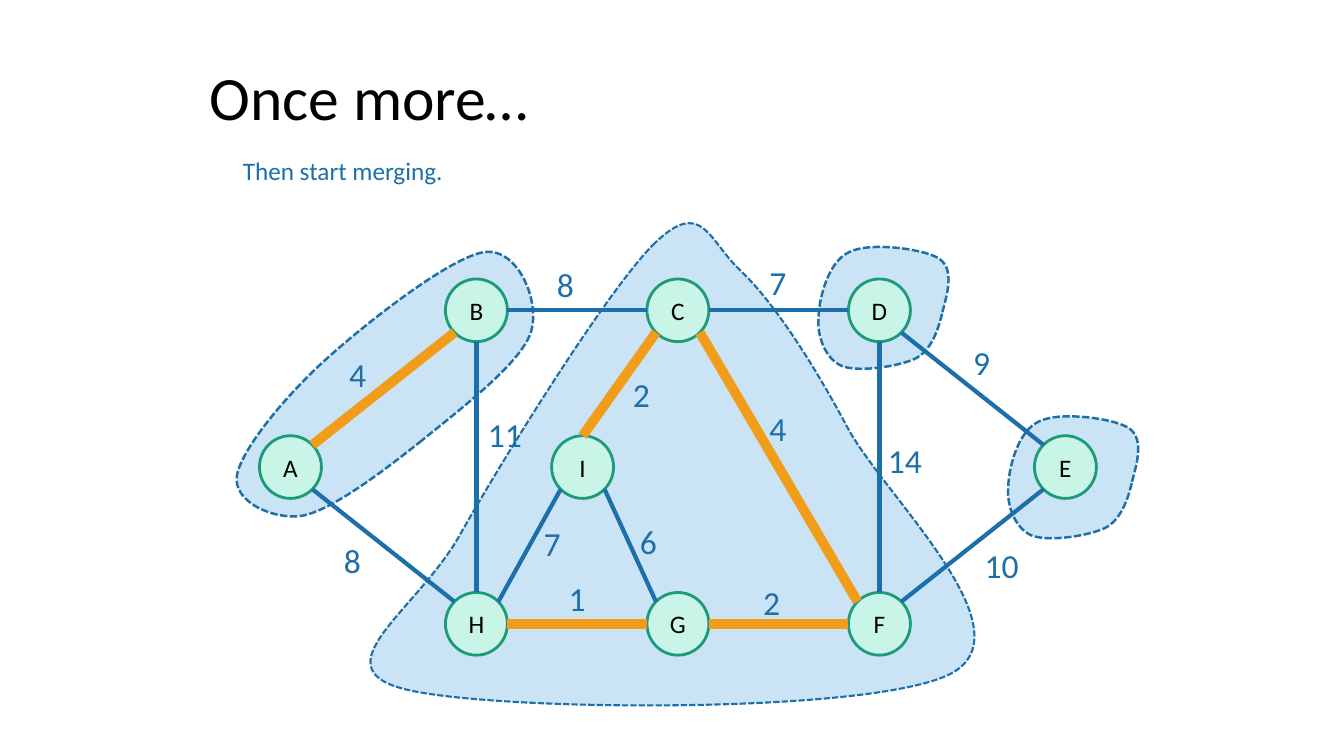
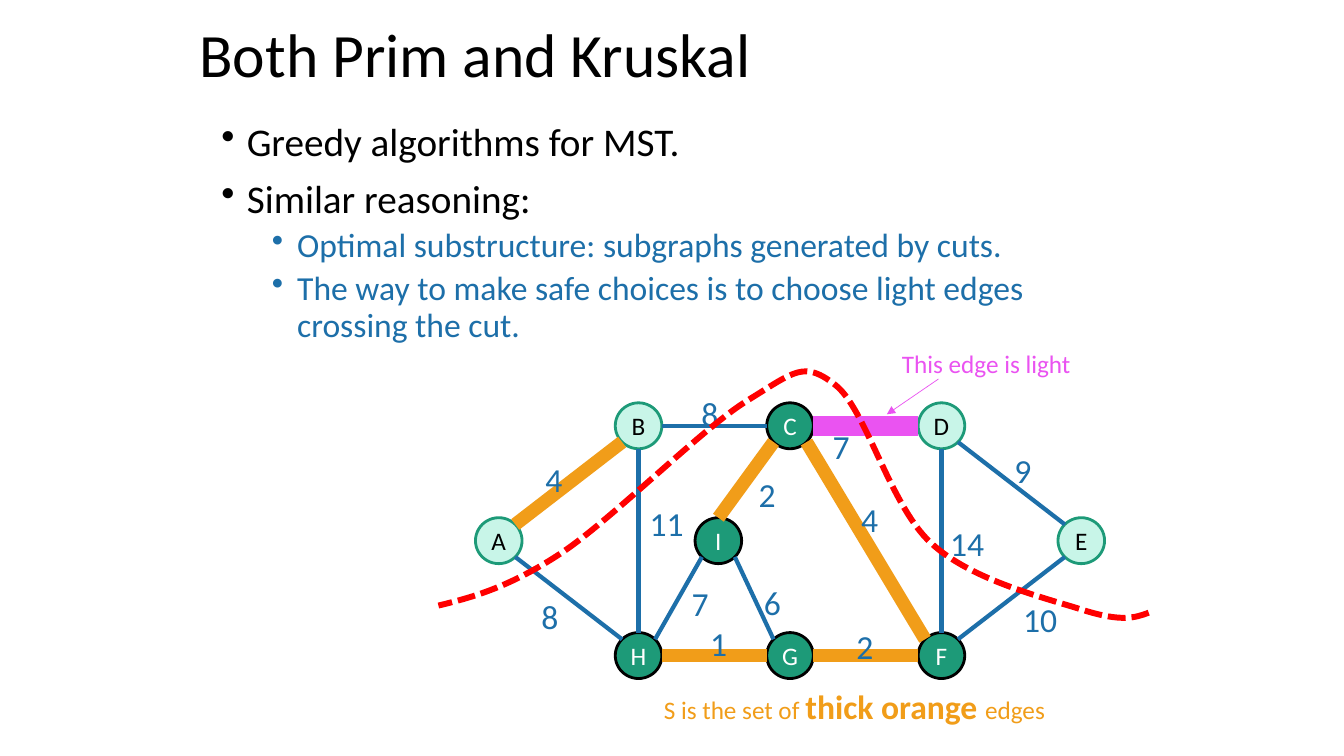
from math import hypot

from lxml import etree
from pptx import Presentation
from pptx.dml.color import RGBColor
from pptx.enum.dml import MSO_LINE
from pptx.enum.shapes import MSO_CONNECTOR, MSO_SHAPE
from pptx.enum.text import MSO_ANCHOR as ANCHOR, PP_ALIGN as ALIGN
from pptx.oxml.ns import qn
from pptx.util import Cm, Pt

FONT = "Calibri"
COLOURS = {
    "black": "000000",
    "white": "FFFFFF",
    "blue": "1D6FA9",
    "pale blue": "CAE4F6",
    "green": "1D9A78",
    "mint": "C8F5E8",
    "orange": "F19D19",
    "magenta": "EA53F1",
    "red": "FF0000",
}

# Positions and sizes in the graph are percentages of the box spanned by the node centres.
NODES = {
    "A": (0, 50), "B": (24, 0), "C": (50, 0), "D": (76, 0), "E": (100, 50),
    "F": (76, 100), "G": (50, 100), "H": (24, 100), "I": (37.7, 50),
}
NODE_SIZE = (8, 20)
LABEL_WIDTH = 11.2
# Edge: weight and top left corner of its label.
EDGES = {
    "CF": (4, (60.5, 29.6)), "CD": (7, (60.5, -17)), "DE": (9, (86.8, 8.4)),
    "EF": (10, (88.3, 73.3)), "DF": (14, (75.8, 39.9)), "IG": (6, (43.8, 65.6)),
    "GF": (2, (59.7, 84.9)), "IC": (2, (42.9, 18.7)), "BC": (8, (33.1, -16.3)),
    "AB": (4, (6.3, 12.3)), "AH": (8, (5.6, 71.8)), "HG": (1, (34.6, 83.7)),
    "IH": (7, (31.4, 66.3)), "BH": (11, (24.2, 31.3)),
}
TOP_EXITS = {"IC"}
TREE_EDGES = ("CF", "GF", "IC", "AB", "HG")

# Curves: a start point, then two control points and an end point per segment (cm).
TRIANGLE_GROUP = [
    (9.19, -1.7),
    (8.03, -0.58), (5.33, 3.78), (4.27, 5.66),
    (3.23, 7.52), (0.74, 8.97), (2.82, 9.53),
    (4.88, 10.11), (14.86, 10.21), (16.71, 9.12),
    (18.59, 8), (14.91, 4.62), (14.02, 2.92),
    (13.11, 1.22), (12.12, -0.28), (11.3, -1.04),
    (10.52, -1.8), (10.36, -2.82), (9.19, -1.7),
]
PAIR_GROUP = [
    (3.25, 3.33),
    (4.22, 2.54), (5.77, 1.37), (6.05, 0.58),
    (6.32, -0.2), (5.74, -1.57), (4.9, -1.47),
    (4.04, -1.35), (1.93, 0.3), (0.89, 1.24),
    (-0.15, 2.18), (-1.24, 3.51), (-1.35, 4.17),
    (-1.45, 4.83), (-0.43, 5.28), (0.28, 5.18),
    (1.02, 5.05), (2.29, 4.09), (3.25, 3.33),
]
SINGLE_GROUP = [
    (1.6, 0.05),
    (1.7, -0.36), (1.93, -1.02), (1.52, -1.3),
    (1.14, -1.55), (-0.23, -1.73), (-0.74, -1.47),
    (-1.27, -1.24), (-1.5, -0.33), (-1.52, 0.15),
    (-1.57, 0.64), (-1.35, 1.22), (-0.94, 1.4),
    (-0.53, 1.57), (0.48, 1.42), (0.91, 1.22),
    (1.32, 1.02), (1.5, 0.48), (1.6, 0.05),
]
CUT = [
    (16.38, 4.71),
    (16.03, 4.84), (15.7, 4.94), (14.78, 4.66),
    (13.87, 4.36), (11.94, 3.92), (10.9, 2.96),
    (9.86, 2.02), (9.25, -0.44), (8.48, -1.03),
    (7.7, -1.64), (7.47, -1.38), (6.32, -0.67),
    (5.18, 0.01), (2.92, 2.3), (1.6, 3.19),
    (0.3, 4.05), (-0.61, 4.31), (-1.52, 4.53),
]


def colour(name):
    return RGBColor.from_string(COLOURS[name])


def set_line(shape, name, width, dash=None):
    shape.line.color.rgb = colour(name)
    shape.line.width = Pt(width)
    if dash:
        shape.line.dash_style = dash


def set_fill(shape, name):
    shape.fill.solid()
    shape.fill.fore_color.rgb = colour(name)


def add_span(para, text, name, size, **formats):
    span = para.add_run()
    span.text = text
    span.font.color.rgb = colour(name)
    for key, value in {"name": FONT, "size": Pt(size), **formats}.items():
        setattr(span.font, key, value)


def add_text(page, box, spans, **formats):
    """Place a one-paragraph text box; each span is (text, colour, size, bold)."""
    shape = page.shapes.add_textbox(*map(Cm, box))
    frame = shape.text_frame
    frame.word_wrap = True
    frame.vertical_anchor = formats.pop("anchor", ANCHOR.TOP)
    para = frame.paragraphs[0]
    for key, value in formats.items():
        setattr(para, key, value)
    for text, name, size, bold in spans:
        add_span(para, text, name, size, bold=bold)
    return shape


def add_title(page, box, text):
    add_text(page, box, [(text, "black", 44, False)],
             anchor=ANCHOR.MIDDLE, line_spacing=0.9)


def add_bullets(page, box, items):
    frame = page.shapes.add_textbox(*map(Cm, box)).text_frame
    frame.word_wrap = True
    styles = [("black", 28, 10, 0.64), ("blue", 24, 5, 1.91)]
    for index, (level, text) in enumerate(items):
        name, size, gap, margin = styles[level]
        para = frame.add_paragraph() if index else frame.paragraphs[0]
        properties = para._p.get_or_add_pPr()
        properties.set("marL", str(Cm(margin)))
        properties.set("indent", str(Cm(-0.64)))
        etree.SubElement(properties, qn("a:buChar"), char="•")
        values = {"level": level, "line_spacing": 0.9, "space_before": Pt(gap if index else 0)}
        for key, value in values.items():
            setattr(para, key, value)
        add_span(para, text, name, size)


def add_segment(page, start, end, name, width, arrow=False):
    segment = page.shapes.add_connector(
        MSO_CONNECTOR.STRAIGHT, *map(Cm, (*start, *end)))
    set_line(segment, name, width)
    if arrow:
        etree.SubElement(segment.line._get_or_add_ln(), qn("a:tailEnd"), type="triangle")
    etree.SubElement(segment._element.spPr, qn("a:effectLst"))


def add_curve(page, origin, points, line, fill=None):
    """Draw a cubic curve, closed if it has a fill, relative to the origin."""
    placed = [(Cm(origin[0] + x), Cm(origin[1] + y)) for x, y in points]
    builder = page.shapes.build_freeform(*placed[0])
    builder.add_line_segments(placed[1:], close=bool(fill))
    curve = builder.convert_to_shape()
    # Each three straight steps become one Bézier segment.
    steps = list(curve._element.iter(qn("a:lnTo")))
    for first, second, last in zip(steps[::3], steps[1::3], steps[2::3]):
        first.tag = qn("a:cubicBezTo")
        for step in (second, last):
            first.append(step[0])
            step.getparent().remove(step)
    curve.shadow.inherit = False
    set_line(curve, *line, dash=MSO_LINE.SQUARE_DOT)
    if fill:
        set_fill(curve, fill)
    else:
        curve.fill.background()


def add_node(page, centre, size, letter, marked):
    fill, line, text = ("green", "black", "white") if marked else ("mint", "green", "black")
    (x, y), (width, height) = centre, size
    node = page.shapes.add_shape(
        MSO_SHAPE.OVAL, *map(Cm, (x - width / 2, y - height / 2, width, height)))
    node.shadow.inherit = False
    set_fill(node, fill)
    set_line(node, line, 2)
    frame = node.text_frame
    margins = dict.fromkeys(("margin_left", "margin_right", "margin_top", "margin_bottom"), 0)
    for key, value in {**margins, "word_wrap": False, "vertical_anchor": ANCHOR.MIDDLE}.items():
        setattr(frame, key, value)
    para = frame.paragraphs[0]
    para.alignment = ALIGN.CENTER
    add_span(para, letter, text, 18)


def sign(value):
    return (value > 0) - (value < 0)


def add_graph(page, box, tree_width, marked="", light=None, moved_labels=None):
    """Draw the weighted graph with its node centres spanning the box."""
    left, top, width, height = box
    size = (NODE_SIZE[0] * width / 100, NODE_SIZE[1] * height / 100)

    def place(point):
        return left + point[0] * width / 100, top + point[1] * height / 100

    def rim(letter, across, down):
        """Return the point of a node's outline in one of eight directions."""
        x, y = place(NODES[letter])
        length = 2 * hypot(across, down)
        return x + across * size[0] / length, y + down * size[1] / length

    for letter, point in NODES.items():
        add_node(page, place(point), size, letter, letter in marked)
    for edge in EDGES:
        first, last = edge
        across, down = (sign(b - a) for a, b in zip(NODES[first], NODES[last]))
        start = rim(first, 0 if edge in TOP_EXITS else across, down)
        style = ("orange", tree_width) if edge in TREE_EDGES else ("blue", 3)
        if edge == light:
            style = ("magenta", 14)
        add_segment(page, start, rim(last, -across, -down), *style)
    for edge, (weight, corner) in EDGES.items():
        corner = (moved_labels or {}).get(edge, corner)
        label_box = (*place(corner), LABEL_WIDTH * width / 100, 1.27)
        add_text(page, label_box, [(str(weight), "blue", 24, False)])


def add_merging_page(page):
    graph = (7.32, 7.82, 19.53, 7.9)
    left, top = graph[:2]
    groups = [
        (TRIANGLE_GROUP, (0, 0), 1.5),
        (SINGLE_GROUP, (19.61, 4.27), 1.75),
        (SINGLE_GROUP, (14.83, 0), 1.75),
        (PAIR_GROUP, (0, 0), 1.75),
    ]
    for points, (across, down), width in groups:
        add_curve(page, (left + across, top + down), points, ("blue", width), "pale blue")
    add_title(page, (5.03, 0.1, 24.69, 4.85), "Once more…")
    add_graph(page, graph, 7)
    add_text(page, (5.87, 3.78, 11.53, 1.02), [("Then start merging.", "blue", 18, False)])


def add_comparison_page(page):
    graph = (12.57, 10.73, 14.68, 5.79)
    add_title(page, (4.78, 0, 21.89, 2.92), "Both Prim and Kruskal")
    add_bullets(page, (5.33, 2.97, 22.4, 6), [
        (0, "Greedy algorithms for MST."),
        (0, "Similar reasoning:"),
        (1, "Optimal substructure: subgraphs generated by cuts."),
        (1, "The way to make safe choices is to choose light edges crossing the cut."),
    ])
    add_graph(page, graph, 9.5, marked="CFGHI", light="CD", moved_labels={"CD": (55.6, -1.9)})
    add_curve(page, graph[:2], CUT, ("red", 4.25))
    add_text(page, (16.48, 17.17, 12.62, 1.27), [
        ("S is the set of ", "orange", 18, False),
        ("thick orange ", "orange", 24, True),
        ("edges", "orange", 18, False),
    ])
    add_text(page, (22.48, 8.66, 6.93, 1.02), [("This edge is light", "magenta", 18, False)])
    add_segment(page, (23.65, 9.55), (22.35, 10.44), "magenta", 0.5, arrow=True)


def main():
    deck = Presentation()
    deck.slide_width, deck.slide_height = Cm(33.87), Cm(19.05)
    for add_page in (add_merging_page, add_comparison_page):
        add_page(deck.slides.add_slide(deck.slide_layouts[6]))
    deck.save("out.pptx")


if __name__ == "__main__":
    main()
